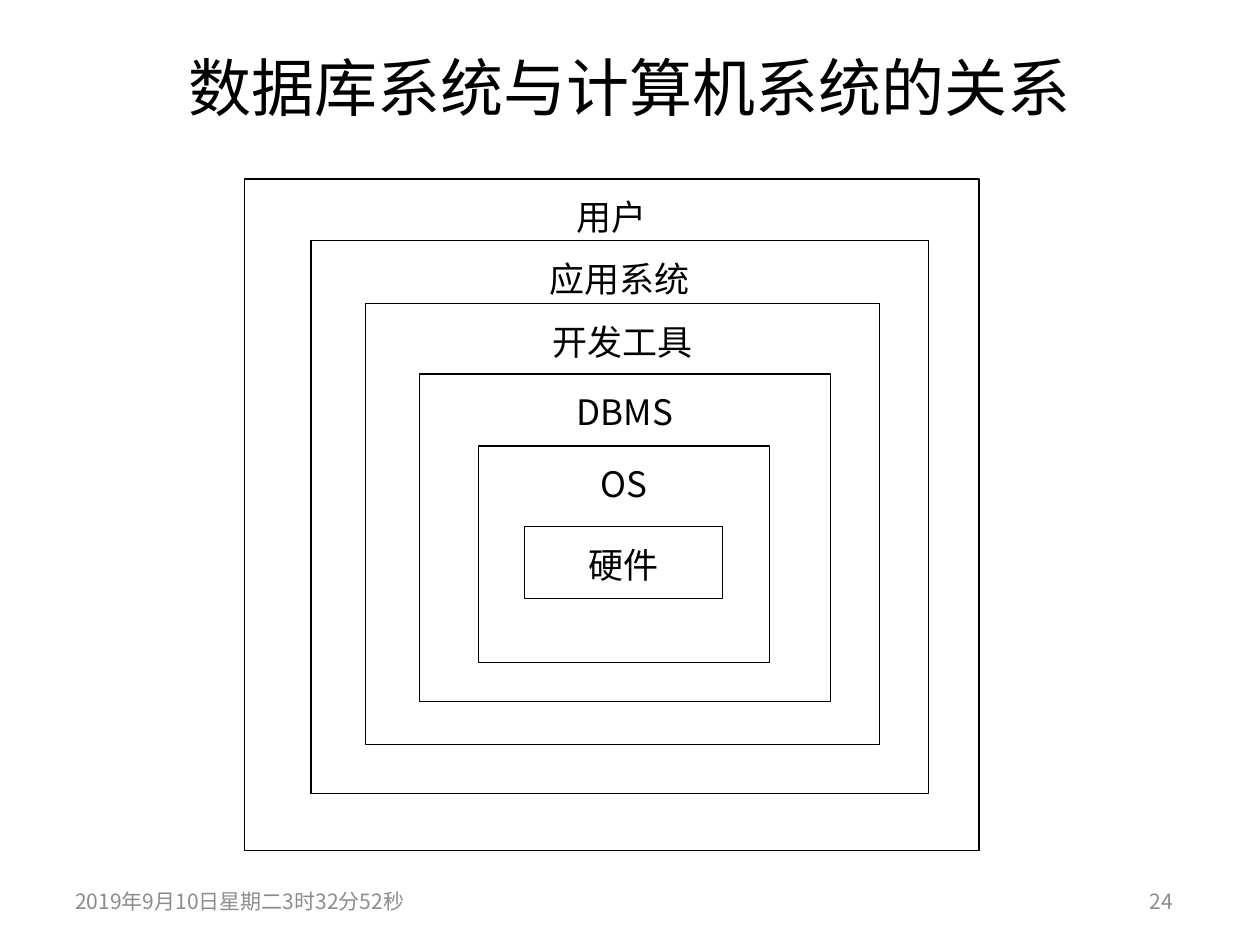
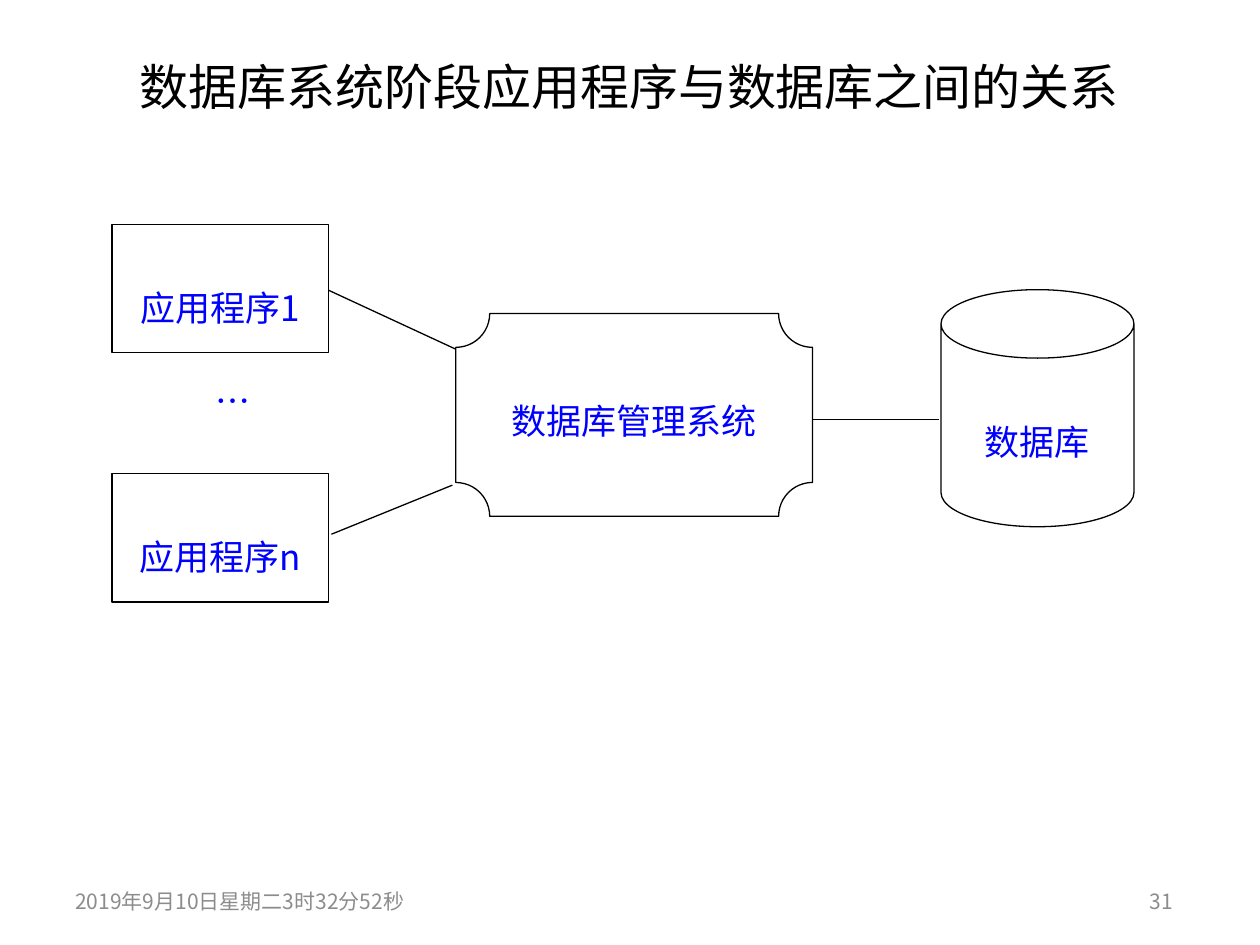
from dataclasses import dataclass
from typing import Optional

from lxml import etree
from pptx import Presentation
from pptx.dml.color import RGBColor
from pptx.enum.shapes import MSO_CONNECTOR, MSO_SHAPE
from pptx.enum.text import MSO_ANCHOR, PP_ALIGN
from pptx.oxml.ns import qn
from pptx.shapes.base import BaseShape
from pptx.slide import Slide
from pptx.util import Cm, Pt

RECTANGLE, CAN, PLAQUE = MSO_SHAPE.RECTANGLE, MSO_SHAPE.CAN, MSO_SHAPE.PLAQUE
STRAIGHT = MSO_CONNECTOR.STRAIGHT
LEFT, CENTER, RIGHT = PP_ALIGN.LEFT, PP_ALIGN.CENTER, PP_ALIGN.RIGHT
TOP, MIDDLE = MSO_ANCHOR.TOP, MSO_ANCHOR.MIDDLE

FONT = "Noto Sans CJK SC"
COLORS = {"paper": "FFFFFF", "ink": "000000", "label": "0000FF", "footer": "8C8C8C"}
LINE_WIDTH = Pt(0.75)
DATE = "2019年9月10日星期二3时32分52秒"


@dataclass(frozen=True)
class Area:
    """A rectangle in centimetres."""
    left: float
    top: float
    width: float
    height: float

    def lengths(self) -> tuple:
        return Cm(self.left), Cm(self.top), Cm(self.width), Cm(self.height)


@dataclass(frozen=True)
class TextStyle:
    size: float
    color: str = "ink"
    align: PP_ALIGN = CENTER
    anchor: MSO_ANCHOR = TOP
    spacing: Optional[float] = None


@dataclass(frozen=True)
class Node:
    text: str
    area: Area
    kind: MSO_SHAPE = RECTANGLE
    adjustment: Optional[float] = None


@dataclass(frozen=True)
class Link:
    start: tuple[float, float]
    end: tuple[float, float]


# Areas and styles shared by the slides
TITLE_AREA = Area(1.27, 0.76, 22.83, 1.96)
DATE_AREA = Area(1.27, 17.65, 7.62, 1.02)
NUMBER_AREA = Area(18.21, 17.65, 5.69, 1.02)
DATE_STYLE = TextStyle(12, "footer", LEFT, MIDDLE)
NUMBER_STYLE = TextStyle(12, "footer", RIGHT, MIDDLE)
LAYER_STYLE = TextStyle(20, spacing=30)
NODE_STYLE = TextStyle(20, "label", spacing=56)
ELLIPSIS_STYLE = TextStyle(20, "label", spacing=36)

# Layers of the computer system, from the outside in
LAYERS = [
    Node("用户", Area(4.93, 3.61, 14.81, 13.54)),
    Node("应用系统", Area(6.27, 4.85, 12.45, 11.15)),
    Node("开发工具", Area(7.37, 6.12, 10.36, 8.89)),
    Node("DBMS", Area(8.46, 7.54, 8.28, 6.6)),
    Node("OS", Area(9.65, 8.99, 5.87, 4.37)),
    Node("硬件", Area(10.57, 10.62, 3.99, 1.45)),
]

# Programs, management system and database
NODES = [
    Node("应用程序1", Area(2.26, 4.52, 4.37, 2.59)),
    Node("应用程序n", Area(2.26, 9.55, 4.37, 2.59)),
    Node("数据库", Area(18.97, 5.84, 3.89, 4.78), CAN, 0.355),
    Node("数据库管理系统", Area(9.19, 6.32, 7.19, 4.09), PLAQUE, 0.167),
]
ELLIPSIS_AREA = Area(3.33, 7.11, 2.74, 2.08)
LINKS = [
    Link((6.6, 5.84), (9.19, 7.04)),
    Link((6.68, 10.77), (9.12, 9.78)),
    Link((16.38, 8.46), (18.92, 8.46)),
]


def rgb(name: str) -> RGBColor:
    return RGBColor.from_string(COLORS[name])


def write_text(box: BaseShape, text: str, style: TextStyle) -> None:
    frame = box.text_frame
    frame.word_wrap = True
    frame.vertical_anchor = style.anchor
    para = frame.paragraphs[0]
    para.alignment = style.align
    if style.spacing is not None:
        para.line_spacing = Pt(style.spacing)
    span = para.add_run()
    span.text = text
    formats = {"name": FONT, "size": Pt(style.size)}
    for attribute, value in formats.items():
        setattr(span.font, attribute, value)
    span.font.color.rgb = rgb(style.color)
    # Chinese characters take the East Asian typeface
    east_asian = etree.SubElement(span.font._element, qn("a:ea"))
    east_asian.set("typeface", FONT)


def add_text(page: Slide, text: str, area: Area, style: TextStyle) -> None:
    write_text(page.shapes.add_textbox(*area.lengths()), text, style)


def add_node(page: Slide, node: Node, style: TextStyle) -> None:
    shape = page.shapes.add_shape(node.kind, *node.area.lengths())
    shape.shadow.inherit = False
    if node.adjustment is not None:
        shape.adjustments[0] = node.adjustment
    shape.fill.solid()
    shape.fill.fore_color.rgb = rgb("paper")
    shape.line.color.rgb = rgb("ink")
    shape.line.width = LINE_WIDTH
    write_text(shape, node.text, style)


def add_link(page: Slide, link: Link) -> None:
    points = [Cm(value) for value in link.start + link.end]
    connector = page.shapes.add_connector(STRAIGHT, *points)
    connector.line.color.rgb = rgb("ink")
    connector.line.width = LINE_WIDTH
    etree.SubElement(connector._element.spPr, qn("a:effectLst"))


def add_page(deck: Presentation, title: str, title_size: float, number: int) -> Slide:
    page = deck.slides.add_slide(deck.slide_layouts[6])
    add_text(page, title, TITLE_AREA, TextStyle(title_size, anchor=MIDDLE))
    add_text(page, DATE, DATE_AREA, DATE_STYLE)
    add_text(page, str(number), NUMBER_AREA, NUMBER_STYLE)
    return page


def main() -> None:
    deck = Presentation()
    deck.slide_width, deck.slide_height = Cm(25.4), Cm(19.05)

    # Nested layers
    page = add_page(deck, "数据库系统与计算机系统的关系", 36, 24)
    for layer in LAYERS:
        add_node(page, layer, LAYER_STYLE)

    # Programs reach the database through the management system
    page = add_page(deck, "数据库系统阶段应用程序与数据库之间的关系", 28, 31)
    for link in LINKS:
        add_link(page, link)
    for node in NODES:
        add_node(page, node, NODE_STYLE)
    add_text(page, "…", ELLIPSIS_AREA, ELLIPSIS_STYLE)

    deck.save("out.pptx")


if __name__ == "__main__":
    main()
